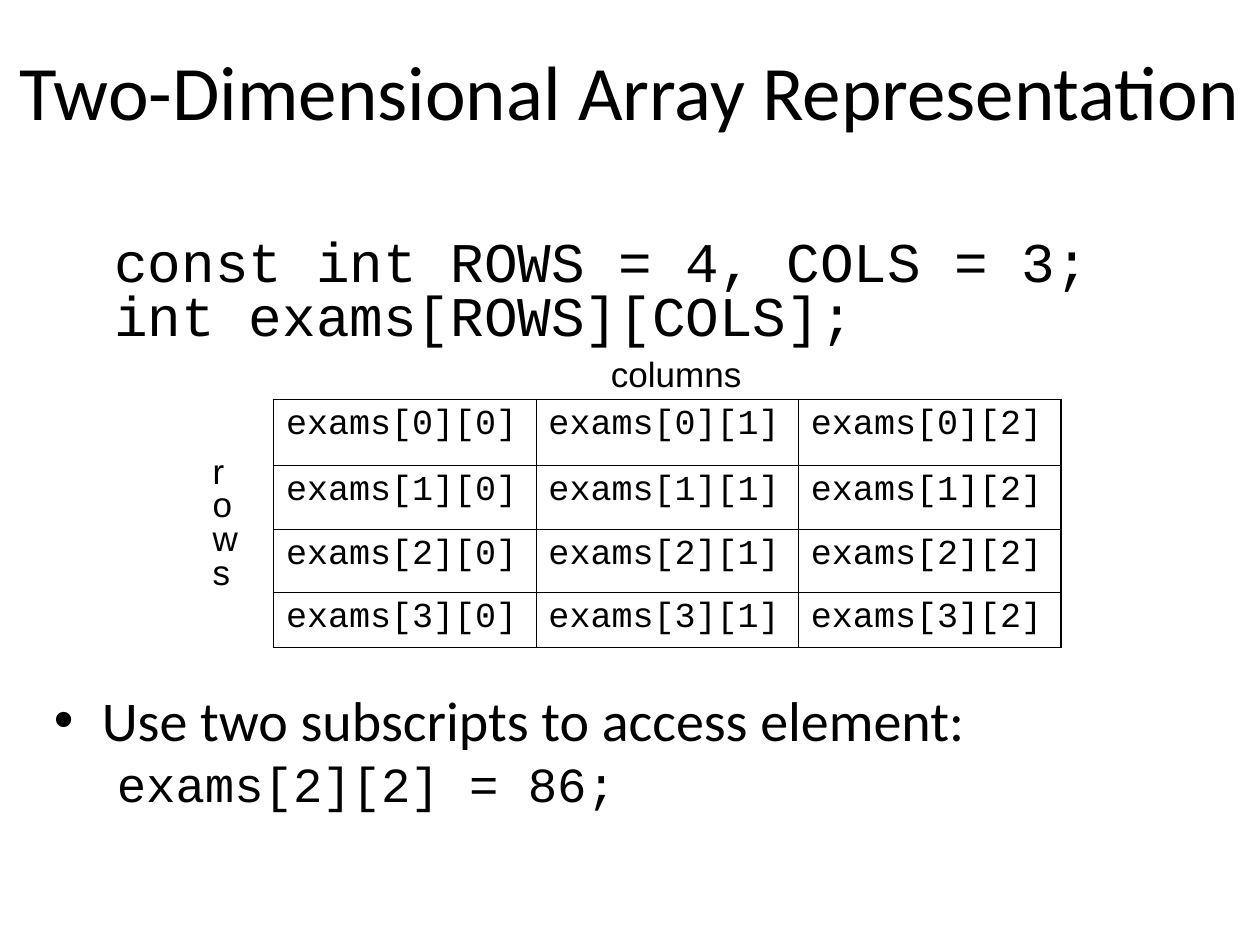
from lxml.etree import SubElement
from pptx import Presentation
from pptx.dml.color import RGBColor
from pptx.enum.text import MSO_ANCHOR, MSO_AUTO_SIZE, PP_ALIGN
from pptx.oxml.ns import qn
from pptx.util import Inches, Pt

# Content
TITLE = "Two-Dimensional Array Representation"
# text, font, size, left margin, first-line indent, space before, bullet
BODY = [
    ("const int ROWS = 4, COLS = 3;\vint exams[ROWS][COLS];",
     "Courier New", 32, 0.48, 0, 0, None),
    ("Use two subscripts to access element:",
     "Calibri", 32, 0.38, -0.38, 201, "•"),
    ("exams[2][2] = 86;", "Courier New", 28, 0.5, 0, 7, None),
]
# text, left, top, width, height, line spacing
LABELS = [
    ("columns", 4.75, 2.75, 1.25, 0.44, 1.0),
    ("r\no\nw\ns", 1.59, 3.58, 0.4, 1.17, 0.8),
]
ROW_HEIGHTS = [0.52, 0.51, 0.5, 0.44]
COLS, TABLE_WIDTH = 3, 6.25
OUTER, INNER = 1.08, 0.45
TIGHT = 0.8

BLACK = RGBColor(0, 0, 0)
WHITE = RGBColor(255, 255, 255)


def style(p, font, size):
    for r in p.runs:
        r.font.name, r.font.size = font, Pt(size)
        r.font.color.rgb = BLACK


def set_bullet(p, left, indent, char):
    pPr = p._p.get_or_add_pPr()
    pPr.set("marL", str(Inches(left)))
    pPr.set("indent", str(Inches(indent)))
    if char:
        SubElement(pPr, qn("a:buFont"), typeface="Arial")
        SubElement(pPr, qn("a:buChar"), char=char)


def set_borders(cell, widths):
    tcPr = cell._tc.get_or_add_tcPr()
    for i, (side, width) in enumerate(widths.items()):
        ln = tcPr.makeelement(qn(f"a:ln{side}"), {"w": str(Pt(width))})
        fill = SubElement(ln, qn("a:solidFill"))
        SubElement(fill, qn("a:srgbClr"), val=str(BLACK))
        tcPr.insert(i, ln)


prs = Presentation()
prs.slide_width, prs.slide_height = Inches(10), Inches(7.5)
s = prs.slides.add_slide(prs.slide_layouts[5])

# Title
title = s.shapes.title
title.left, title.top = Inches(0), Inches(0)
title.width, title.height = Inches(10), Inches(1.42)
tf = title.text_frame
tf.text = TITLE
tf.vertical_anchor = MSO_ANCHOR.MIDDLE
tf.paragraphs[0].alignment = PP_ALIGN.CENTER
style(tf.paragraphs[0], "Calibri", 44)

# Declaration above the table, usage below it
sp = s.shapes.add_textbox(Inches(0.33), Inches(1.42), Inches(8.5), Inches(5.33))
tf = sp.text_frame
tf.word_wrap = True
tf.margin_top = Inches(0.48)
for i, (text, font, size, left, indent, before, char) in enumerate(BODY):
    p = tf.add_paragraph() if i else tf.paragraphs[0]
    p.text = text
    p.space_before, p.line_spacing = Pt(before), TIGHT
    set_bullet(p, left, indent, char)
    style(p, font, size)

# Array table
rows = len(ROW_HEIGHTS)
table = s.shapes.add_table(rows, COLS, Inches(2.17), Inches(3.17),
                           Inches(TABLE_WIDTH), Inches(sum(ROW_HEIGHTS))).table
table.first_row = table.horz_banding = False
for col in table.columns:
    col.width = Inches(TABLE_WIDTH / COLS)
for i, height in enumerate(ROW_HEIGHTS):
    table.rows[i].height = Inches(height)
    for j in range(COLS):
        cell = table.cell(i, j)
        cell.text = f"exams[{i}][{j}]"
        cell.fill.solid()
        cell.fill.fore_color.rgb = WHITE
        p = cell.text_frame.paragraphs[0]
        p.space_before = Pt(5)
        style(p, "Courier New", 20)
        edges = {"L": j == 0, "R": j == COLS - 1, "T": i == 0, "B": i == rows - 1}
        set_borders(cell, {k: OUTER if e else INNER for k, e in edges.items()})

# Axis labels
for text, left, top, width, height, spacing in LABELS:
    sp = s.shapes.add_textbox(*map(Inches, (left, top, width, height)))
    tf = sp.text_frame
    tf.word_wrap = False
    tf.auto_size = MSO_AUTO_SIZE.SHAPE_TO_FIT_TEXT
    tf.text = text
    for p in tf.paragraphs:
        p.line_spacing = spacing
        style(p, "Arial", 20)

prs.save("out.pptx")
